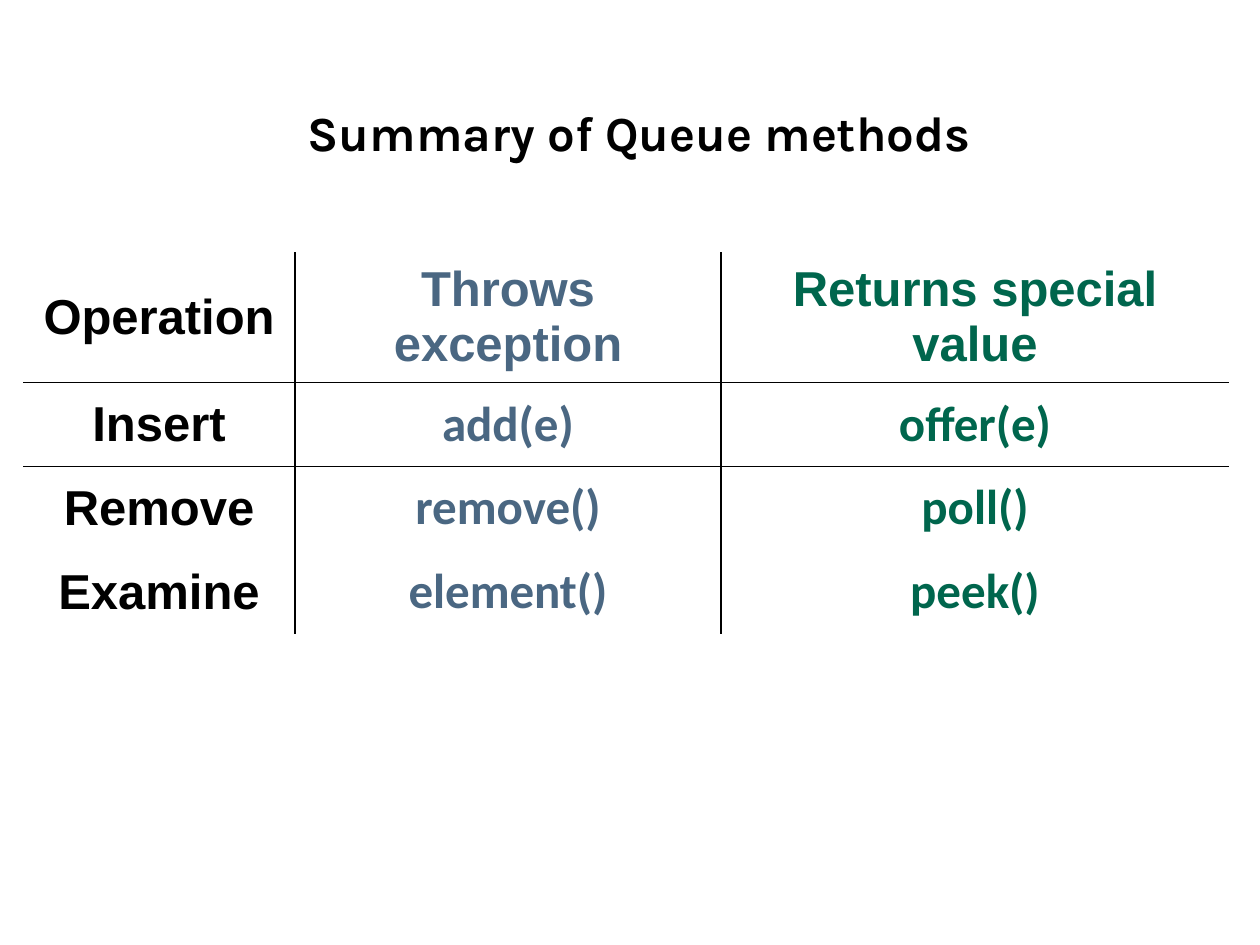
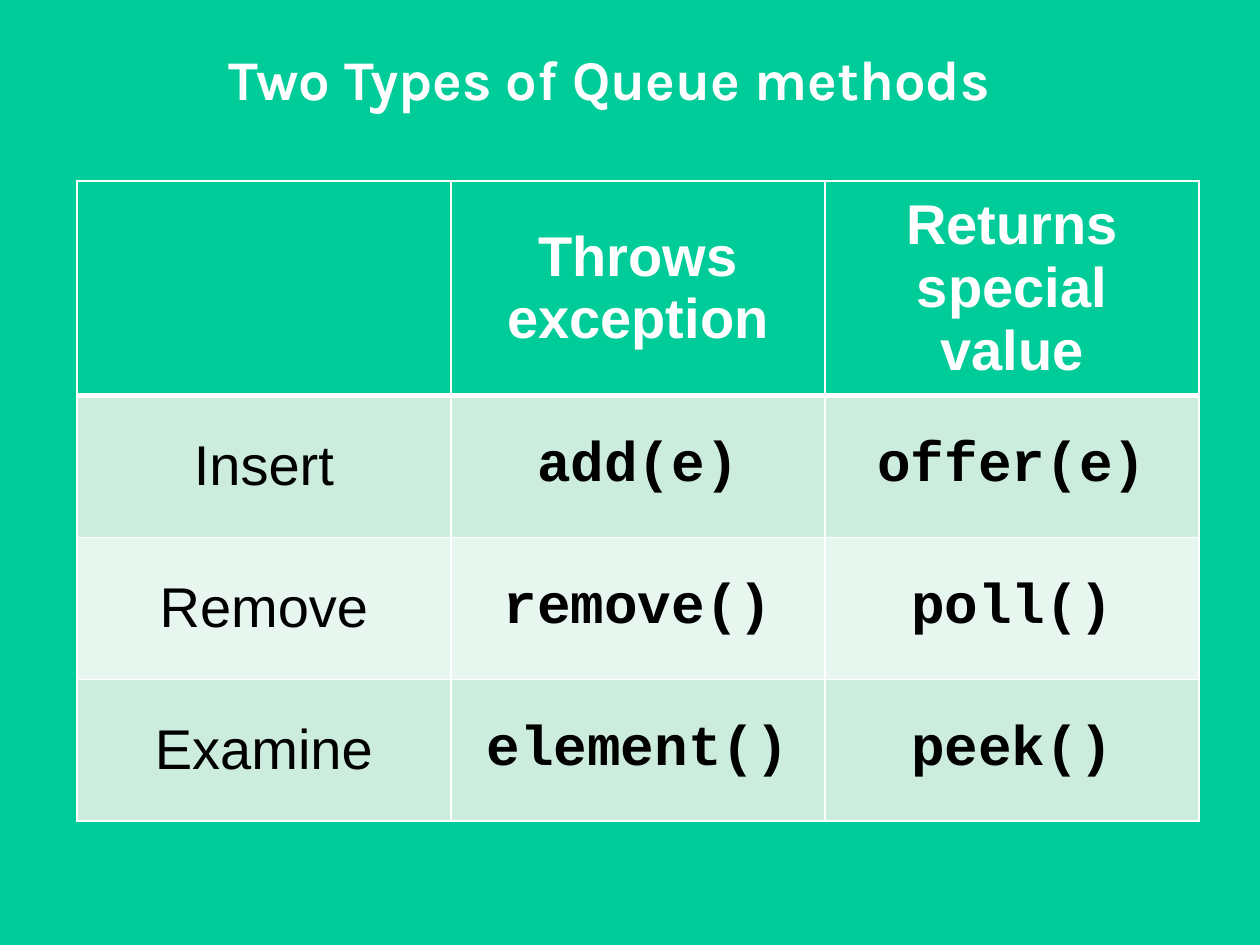
from dataclasses import dataclass

from lxml import etree
from pptx import Presentation
from pptx.dml.color import RGBColor
from pptx.enum.text import MSO_ANCHOR, MSO_AUTO_SIZE, PP_ALIGN
from pptx.oxml.ns import qn
from pptx.util import Emu, Pt

MIDDLE = MSO_ANCHOR.MIDDLE
CENTER = PP_ALIGN.CENTER
GROW = MSO_AUTO_SIZE.SHAPE_TO_FIT_TEXT

SCALE = 914400 / 126
WIDTH, HEIGHT = 1260, 945
TITLE_ONLY = 5
PLAIN_STYLE = "{2D5ABB26-0587-4C30-8999-92F81FD0307C}"

BLACK, WHITE = "000000", "FFFFFF"
GREEN, MINT, PALE = "00CC99", "CCECDE", "E7F6EF"
BLUE, PINE = "4A6782", "00664D"

HEAD = ("Throws exception", "Returns special value")
BODY = (
    ("Insert", "add(e)", "offer(e)"),
    ("Remove", "remove()", "poll()"),
    ("Examine", "element()", "peek()"),
)


@dataclass(frozen=True)
class Grid:
    left: int
    top: int
    cols: tuple[int, ...]
    rows: tuple[int, ...]
    corner: str
    code: str
    head_inks: tuple[str, ...]
    body_inks: tuple[str, ...]
    fills: tuple[str, ...]
    line: str
    rule: float
    outer: bool
    label_bold: bool


@dataclass(frozen=True)
class Page:
    title: str
    box: tuple[int, int, int, int]
    size: int
    ink: str
    back: str
    grid: Grid


PAGES = (
    Page("Summary of Queue methods", (273, 95, 732, 73), 28, BLACK, WHITE,
         Grid(left=23, top=252, cols=(272, 426, 508), rows=(130, 84, 84, 84),
              corner="Operation", code="Calibri",
              head_inks=(BLACK, BLUE, PINE), body_inks=(BLACK, BLUE, PINE),
              fills=(), line=BLACK, rule=1, outer=False, label_bold=True)),
    Page("Two Types of Queue methods", (178, 37, 863, 82), 32, WHITE, GREEN,
         Grid(left=77, top=181, cols=(374,) * 3, rows=(199, 142, 142, 142),
              corner="", code="Courier New",
              head_inks=(WHITE,) * 3, body_inks=(BLACK,) * 3,
              fills=(GREEN, MINT, PALE, MINT), line=WHITE, rule=3,
              outer=True, label_bold=False)),
)


def px(count: int) -> Emu:
    return Emu(round(count * SCALE))


def tint(code: str) -> RGBColor:
    return RGBColor.from_string(code)


def style(para, ink: str, **form) -> None:
    para.alignment = CENTER
    for name, value in form.items():
        setattr(para.font, name, value)
    para.font.color.rgb = tint(ink)


def edge(cell, sides: dict[str, float], ink: str) -> None:
    """Draw borders, given as width in points by side letter in L, R, T, B order."""
    props = cell._tc.get_or_add_tcPr()
    for spot, (side, width) in enumerate(sides.items()):
        line = etree.Element(qn(f"a:ln{side}"), w=str(Pt(width)))
        fill = etree.SubElement(line, qn("a:solidFill"))
        etree.SubElement(fill, qn("a:srgbClr"), val=ink)
        props.insert(spot, line)


def sides_of(grid: Grid, row: int, col: int) -> dict[str, float]:
    sides = {}
    if grid.outer or col > 0:
        sides["L"] = 1
    if grid.outer or col < len(grid.cols) - 1:
        sides["R"] = 1
    if grid.outer or row == 1:
        sides["T"] = grid.rule if row == 1 else 1
    if grid.outer or row == 0:
        sides["B"] = grid.rule if row == 0 else 1
    return sides


def add_title(slide, page: Page) -> None:
    title = slide.shapes.title
    for name, value in zip(("left", "top", "width", "height"), page.box):
        setattr(title, name, px(value))
    frame = title.text_frame
    frame.text = page.title
    form = {"word_wrap": False, "auto_size": GROW, "vertical_anchor": MIDDLE}
    for name, value in form.items():
        setattr(frame, name, value)
    style(frame.paragraphs[0], page.ink, name="Karla", size=Pt(page.size), bold=True)


def add_grid(slide, grid: Grid, size: int) -> None:
    frame = slide.shapes.add_table(
        len(grid.rows), len(grid.cols), px(grid.left), px(grid.top),
        px(sum(grid.cols)), px(sum(grid.rows)))
    table = frame.table
    table._tbl.tblPr.find(qn("a:tableStyleId")).text = PLAIN_STYLE
    for col, width in zip(table.columns, grid.cols):
        col.width = px(width)
    for row, height in zip(table.rows, grid.rows):
        row.height = px(height)
    for r, words in enumerate(((grid.corner, *HEAD), *BODY)):
        inks = grid.body_inks if r else grid.head_inks
        for c, word in enumerate(words):
            cell = table.cell(r, c)
            cell.vertical_anchor = MIDDLE
            if grid.fills:
                cell.fill.solid()
                cell.fill.fore_color.rgb = tint(grid.fills[r])
            else:
                cell.fill.background()
            edge(cell, sides_of(grid, r, c), grid.line)
            if word:
                cell.text = word
                style(cell.text_frame.paragraphs[0], inks[c], size=Pt(size),
                      name=grid.code if r and c else "Arial",
                      bold=grid.label_bold or r == 0 or c > 0)


def main() -> None:
    deck = Presentation()
    deck.slide_width, deck.slide_height = px(WIDTH), px(HEIGHT)
    for page in PAGES:
        slide = deck.slides.add_slide(deck.slide_layouts[TITLE_ONLY])
        back = slide.background.fill
        back.solid()
        back.fore_color.rgb = tint(page.back)
        add_title(slide, page)
        add_grid(slide, page.grid, page.size)
    deck.save("out.pptx")


if __name__ == "__main__":
    main()
